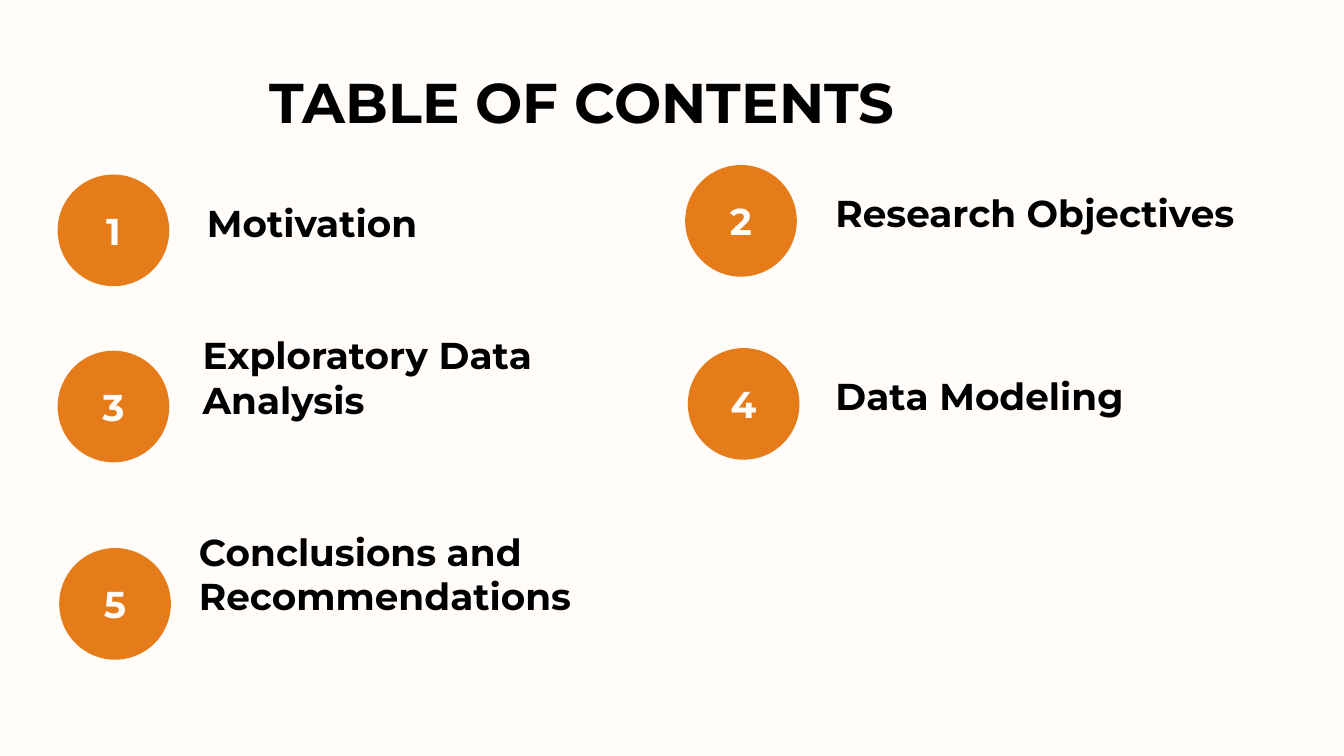
from pptx import Presentation
from pptx import util as u
from pptx.dml.color import RGBColor
from pptx.enum import shapes, text

CREAM, ORANGE, BLACK = "FFFCF9", "E57B19", "000000"
BADGE = 2.11
LEFT, MID = text.PP_ALIGN.LEFT, text.PP_ALIGN.CENTER


def paint(fill, color):
    fill.solid()
    fill.fore_color.rgb = RGBColor.from_string(color)


def write(shape, words, size, color, align, anchor):
    frame = shape.text_frame
    frame.word_wrap = True
    frame.vertical_anchor = anchor
    frame.margin_left = frame.margin_right = u.Cm(0.25)
    frame.margin_top = frame.margin_bottom = u.Cm(0.25)
    para = frame.paragraphs[0]
    para.text = words
    para.alignment = align
    para.font.name = "Montserrat"
    para.font.size = u.Pt(size)
    para.font.bold = True
    paint(para.font.fill, color)


deck = Presentation()
deck.slide_width, deck.slide_height = u.Cm(25.4), u.Cm(14.29)
slide = deck.slides.add_slide(deck.slide_layouts[6])
paint(slide.background.fill, CREAM)

title = slide.shapes.add_textbox(u.Cm(0.3), u.Cm(1.02), u.Cm(21.41), u.Cm(1.52))
write(title, "TABLE OF CONTENTS", 30, BLACK, MID, text.MSO_ANCHOR.TOP)

# Topic, badge left and top, label left, top and width
topics = [
    ("Motivation", 1.09, 3.3, 3.66, 3.86, 6.5),
    ("Research Objectives", 12.95, 3.12, 15.54, 3.68, 8.31),
    ("Exploratory Data Analysis", 1.09, 6.63, 3.58, 7.21, 8.18),
    ("Data Modeling", 13, 6.58, 15.54, 7.14, 7.72),
    ("Conclusions and Recommendations", 1.12, 10.36, 3.51, 10.92, 12.17),
]
for number, (topic, x, y, left, top, width) in enumerate(topics, 1):
    badge = slide.shapes.add_shape(
        shapes.MSO_SHAPE.ROUNDED_RECTANGLE,
        u.Cm(x), u.Cm(y), u.Cm(BADGE), u.Cm(BADGE))
    badge.adjustments[0] = 0.5
    badge.shadow.inherit = False
    badge.line.fill.background()
    paint(badge.fill, ORANGE)
    write(badge, str(number), 20, CREAM, MID, text.MSO_ANCHOR.MIDDLE)

    label = slide.shapes.add_textbox(u.Cm(left), u.Cm(top), u.Cm(width), u.Cm(1.02))
    write(label, topic, 20, BLACK, LEFT, text.MSO_ANCHOR.BOTTOM)

deck.save("out.pptx")
